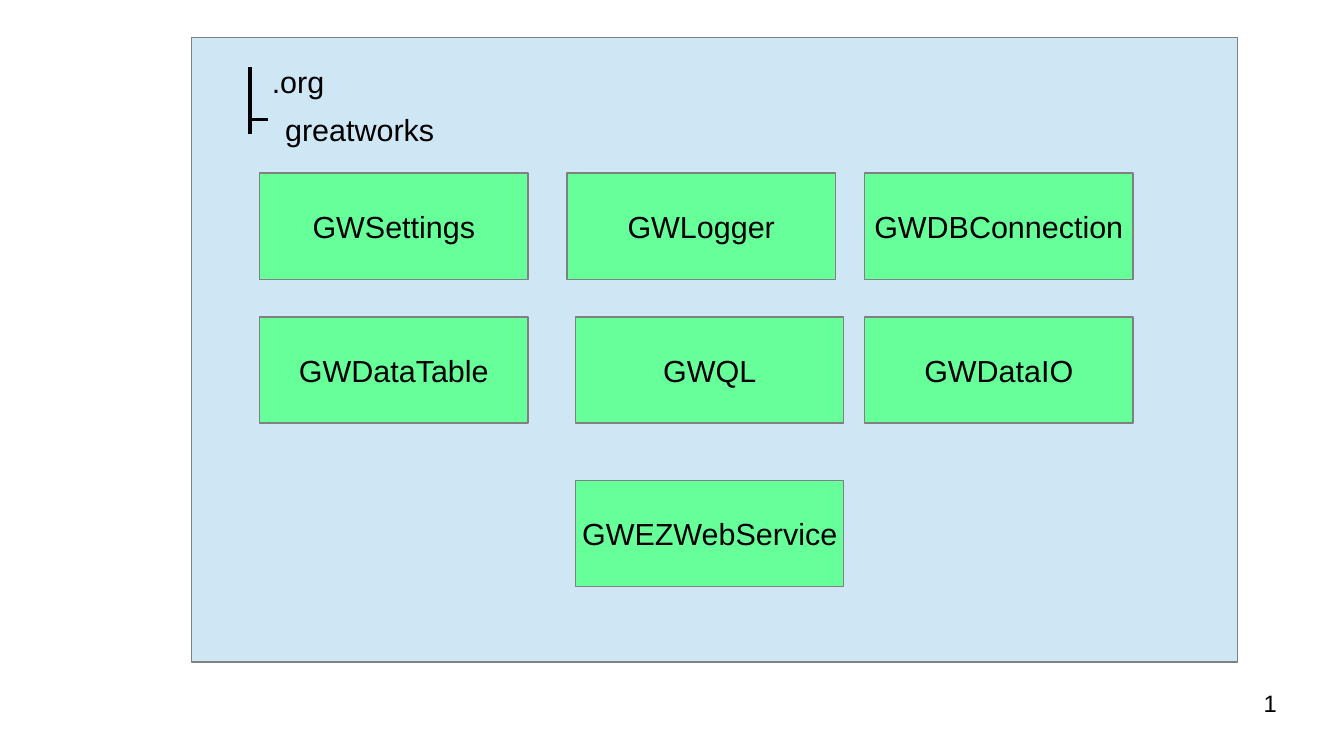
from lxml.etree import SubElement
from pptx import Presentation
from pptx.dml.color import RGBColor
from pptx.enum.shapes import MSO_CONNECTOR as Conn, MSO_SHAPE as Shape
from pptx.enum.text import MSO_ANCHOR as Anchor, PP_ALIGN as Align
from pptx.oxml.ns import qn
from pptx.util import Inches, Pt

BLACK, GREY, BLUE, GREEN = "000000", "808080", "CFE7F5", "66FF99"
BOX_W, BOX_H = 2.2, 0.87
# Left edges and class names of each row, keyed by the row's top in the panel
ROWS = {
    1.11: [(0.56, "GWSettings"), (3.08, "GWLogger"), (5.52, "GWDBConnection")],
    2.29: [(0.56, "GWDataTable"), (3.15, "GWQL"), (5.52, "GWDataIO")],
    3.63: [(3.15, "GWEZWebService")],
}


def paint(part, color):
    part.solid()
    part.fore_color.rgb = RGBColor.from_string(color)


def write(frame, text, size=18, align=Align.LEFT):
    para = frame.paragraphs[0]
    para.alignment = align
    run = para.add_run()
    run.text = text
    run.font.name = "Arial"
    run.font.size = Pt(size)
    paint(run.font.fill, BLACK)


def add_rect(slide, x, y, w, h, color):
    rect = slide.shapes.add_shape(
        Shape.RECTANGLE, Inches(x), Inches(y), Inches(w), Inches(h))
    rect.shadow.inherit = False
    paint(rect.fill, color)
    paint(rect.line.fill, GREY)
    rect.line.width = Pt(0)
    return rect


def add_text(slide, x, y, w, h, text, **style):
    box = slide.shapes.add_textbox(Inches(x), Inches(y), Inches(w), Inches(h))
    frame = box.text_frame
    frame.word_wrap = True
    write(frame, text, **style)
    return frame


def add_line(slide, x1, y1, x2, y2):
    line = slide.shapes.add_connector(
        Conn.STRAIGHT, Inches(x1), Inches(y1), Inches(x2), Inches(y2))
    paint(line.line.fill, BLACK)
    line.line.width = Pt(0)
    SubElement(line._element.spPr, qn("a:effectLst"))


def add_tree(slide, x, y):
    """Draw the package path as a small tree."""
    add_text(slide, x + 0.08, y - 0.08, 2.99, 0.47, ".org")
    add_text(slide, x + 0.19, y + 0.31, 1.97, 0.37, "greatworks")
    add_line(slide, x, y + 0.55, x, y)
    add_line(slide, x, y + 0.43, x + 0.15, y + 0.43)


def add_class(slide, x, y, name):
    frame = add_rect(slide, x, y, BOX_W, BOX_H, GREEN).text_frame
    frame.word_wrap = False
    frame.vertical_anchor = Anchor.MIDDLE
    write(frame, name, align=Align.CENTER)


def add_panel(slide, x, y, w, h):
    add_rect(slide, x, y, w, h, BLUE)
    add_tree(slide, x + 0.48, y + 0.24)
    for top, row in ROWS.items():
        for left, name in row:
            add_class(slide, x + left, y + top, name)


def add_number(slide, x, y, w, h):
    frame = add_text(slide, x, y, w, h, "1", size=14, align=Align.RIGHT)
    frame.margin_left = frame.margin_right = 0
    frame.margin_top = frame.margin_bottom = 0


def main():
    deck = Presentation()
    deck.slide_width, deck.slide_height = Inches(11.02), Inches(6.2)
    slide = deck.slides.add_slide(deck.slide_layouts[6])
    add_panel(slide, 1.57, 0.31, 8.58, 5.12)
    add_number(slide, 7.9, 5.65, 2.57, 0.43)
    deck.save("out.pptx")


if __name__ == "__main__":
    main()
